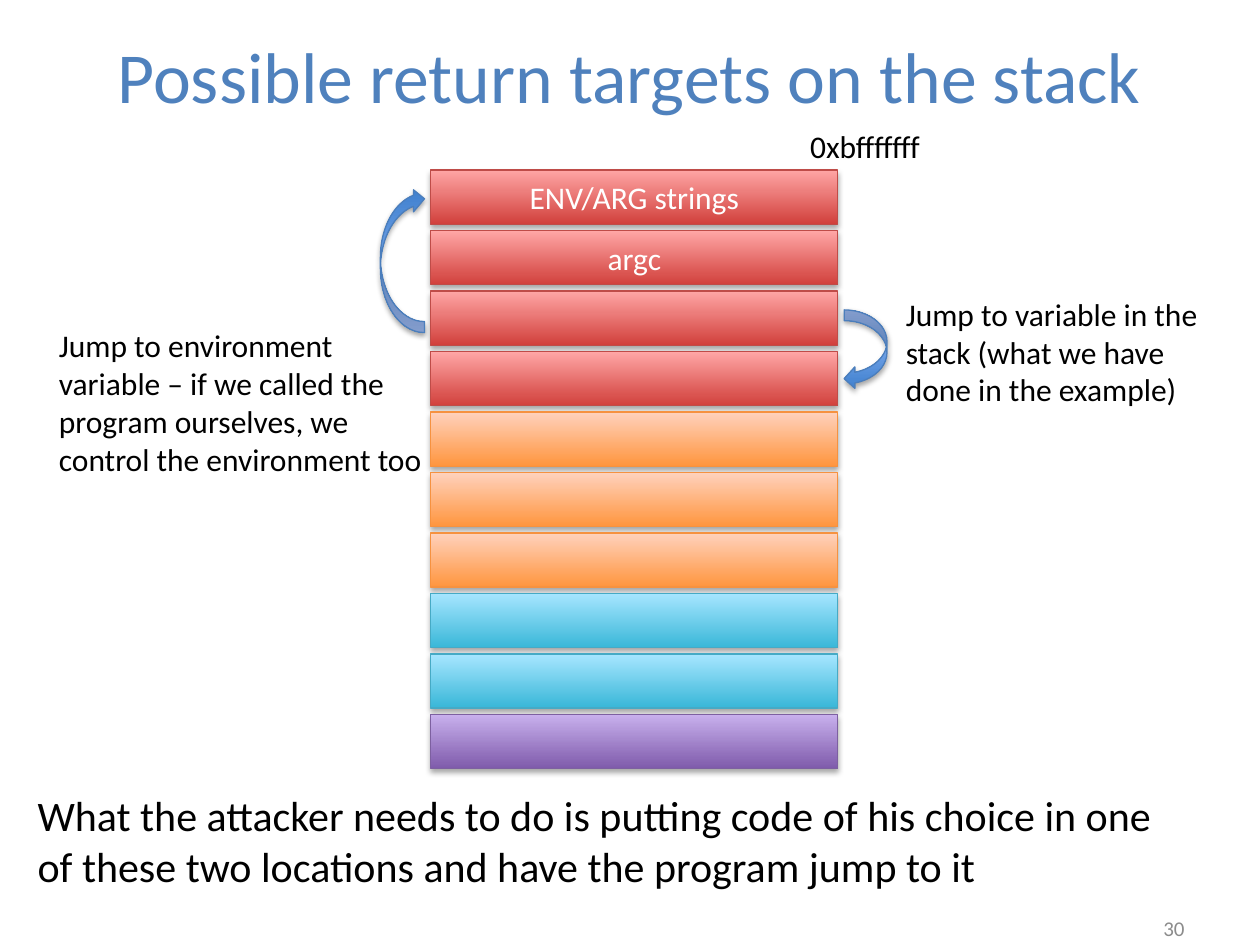
"""Build a slide showing the possible return targets on the stack."""
from dataclasses import dataclass

import lxml.etree
import pptx
import pptx.dml.color
import pptx.enum.shapes
import pptx.enum.text
import pptx.oxml.ns
import pptx.util

Pt = pptx.util.Pt
Shape = pptx.enum.shapes.MSO_SHAPE
Align = pptx.enum.text.PP_ALIGN
Anchor = pptx.enum.text.MSO_ANCHOR
AutoSize = pptx.enum.text.MSO_AUTO_SIZE
FONT = "Calibri"
BLACK = "000000"
BAR_LEFT, BAR_TOP, BAR_WIDTH, BAR_HEIGHT, BAR_PITCH = 246.2, 97.2, 232.6, 31, 34.56


@dataclass(frozen=True)
class Style:
    dark: str
    light: str
    line: str


@dataclass(frozen=True)
class Bar:
    style: Style
    label: str = ""


@dataclass(frozen=True)
class Arrow:
    left: float
    top: float
    width: float
    height: float
    flipped: bool = False


@dataclass(frozen=True)
class Note:
    text: str
    left: float
    top: float
    width: float
    height: float
    size: float = 18
    wrap: bool = True
    color: str = BLACK
    align: Align = Align.LEFT
    anchor: Anchor = Anchor.TOP
    fit: AutoSize = AutoSize.SHAPE_TO_FIT_TEXT


RED = Style("D1403C", "FFA6A5", "BF4C48")
ORANGE = Style("FF953E", "FFD2BD", "F69240")
CYAN = Style("39B7D8", "A7E6FF", "46AAC5")
PURPLE = Style("7F5BAB", "C8B0ED", "7D60A0")
BLUE = Style("3F80CE", "A4C4FF", "4B7EBC")

BARS = [
    Bar(RED, "ENV/ARG strings"), Bar(RED, "argc"), Bar(RED), Bar(RED),
    Bar(ORANGE), Bar(ORANGE), Bar(ORANGE),
    Bar(CYAN), Bar(CYAN),
    Bar(PURPLE),
]
ARROWS = [
    Arrow(482.4, 177.1, 24.5, 45.4),
    Arrow(217.4, 107.3, 25.2, 82.8, flipped=True),
]
NOTES = [
    Note("0xbfffffff", 455.8, 69.1, 78.5, 28.8, wrap=False),
    Note("Jump to variable in the stack (what we have done in the example)",
         510.5, 164.9, 186.5, 72.7),
    Note("Jump to environment variable – if we called the program ourselves, "
         "we control the environment too", 26.6, 182.9, 225.4, 94.3),
    Note("What the attacker needs to do is putting code of his choice in one "
         "of these two locations and have the program jump to it",
         14.4, 447.8, 650.9, 65.5, size=24),
    Note("30", 623.5, 516.2, 60.5, 28.8, size=12, color="8C8C8C",
         align=Align.RIGHT, anchor=Anchor.MIDDLE, fit=AutoSize.NONE),
]


def rgb(value: str) -> pptx.dml.color.RGBColor:
    """Turn a hex string into a colour."""
    return pptx.dml.color.RGBColor.from_string(value)


def write(frame, text: str, size: float, color: str, align: Align) -> None:
    """Put one formatted span into the first paragraph."""
    para = frame.paragraphs[0]
    para.alignment = align
    span = para.add_run()
    span.text = text
    span.font.name = FONT
    span.font.size = Pt(size)
    span.font.color.rgb = rgb(color)


def add_shadow(shape) -> None:
    """Give a shape a soft shadow straight below it."""
    shape.shadow.inherit = False
    qn = pptx.oxml.ns.qn
    effects = shape.element.spPr.find(qn("a:effectLst"))
    shadow = lxml.etree.SubElement(
        effects, qn("a:outerShdw"), blurRad=str(Pt(3.1)), dist=str(Pt(1.8)),
        dir="5400000", rotWithShape="0")
    color = lxml.etree.SubElement(shadow, qn("a:srgbClr"), val=BLACK)
    lxml.etree.SubElement(color, qn("a:alpha"), val="35000")


def apply_style(shape, style: Style) -> None:
    """Fill a shape with a vertical gradient, light at the top."""
    shape.fill.gradient()
    shape.fill.gradient_angle = 90
    for stop, color in zip(shape.fill.gradient_stops, (style.dark, style.light)):
        stop.color.rgb = rgb(color)
    shape.line.color.rgb = rgb(style.line)
    shape.line.width = Pt(0.75)
    add_shadow(shape)


def draw_bar(page, bar: Bar, row: int) -> None:
    """Draw one stack slot in its row."""
    shape = page.shapes.add_shape(
        Shape.RECTANGLE, Pt(BAR_LEFT), Pt(BAR_TOP + row * BAR_PITCH),
        Pt(BAR_WIDTH), Pt(BAR_HEIGHT))
    apply_style(shape, bar.style)
    if bar.label:
        shape.text_frame.vertical_anchor = Anchor.MIDDLE
        write(shape.text_frame, bar.label, 18, "FFFFFF", Align.CENTER)


def draw_arrow(page, arrow: Arrow) -> None:
    """Draw a curved jump arrow."""
    shape = page.shapes.add_shape(
        Shape.CURVED_LEFT_ARROW, Pt(arrow.left), Pt(arrow.top),
        Pt(arrow.width), Pt(arrow.height))
    apply_style(shape, BLUE)
    if arrow.flipped:
        frame = shape.element.spPr.get_or_add_xfrm()
        frame.set("flipH", "1")
        frame.set("flipV", "1")


def draw_note(page, note: Note) -> None:
    """Draw a text box."""
    box = page.shapes.add_textbox(
        Pt(note.left), Pt(note.top), Pt(note.width), Pt(note.height))
    frame = box.text_frame
    frame.word_wrap = note.wrap
    frame.auto_size = note.fit
    frame.vertical_anchor = note.anchor
    write(frame, note.text, note.size, note.color, note.align)


def draw_title(page, text: str) -> None:
    """Place and fill the title placeholder."""
    title = page.shapes.title
    title.left, title.top, title.width, title.height = Pt(36), Pt(7.2), Pt(648), Pt(71.3)
    title.text_frame.vertical_anchor = Anchor.MIDDLE
    write(title.text_frame, text, 41, "4F81BD", Align.CENTER)


def main() -> None:
    """Build and save the deck."""
    deck = pptx.Presentation()
    deck.slide_width, deck.slide_height = Pt(720), Pt(540)
    page = deck.slides.add_slide(deck.slide_layouts.get_by_name("Title Only"))
    draw_title(page, "Possible return targets on the stack")
    for row, bar in enumerate(BARS):
        draw_bar(page, bar, row)
    for arrow in ARROWS:
        draw_arrow(page, arrow)
    for note in NOTES:
        draw_note(page, note)
    deck.save("out.pptx")


if __name__ == "__main__":
    main()
